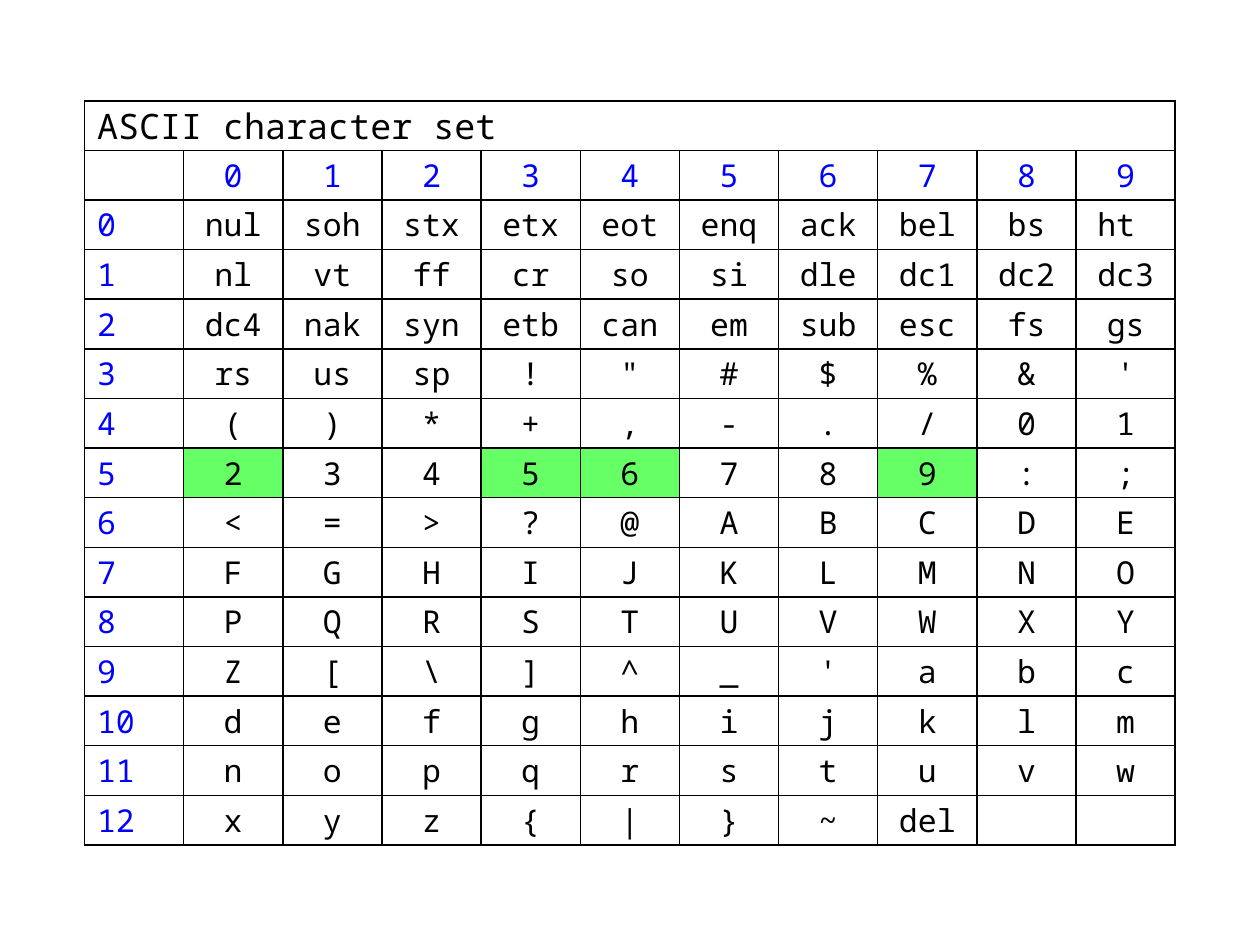
"""Build a one-slide ASCII code table with decimal row and column headings."""
import dataclasses

import lxml.etree
import pptx
import pptx.dml.color
import pptx.enum.text
import pptx.oxml.ns
import pptx.util

TITLE = "ASCII character set"
CONTROLS = (
    "nul,soh,stx,etx,eot,enq,ack,bel,bs,ht ,"
    "nl,vt,ff,cr,so,si,dle,dc1,dc2,dc3 ,"
    "dc4,nak,syn,etb,can,em,sub,esc,fs,gs,"
    "rs,us,sp"
).split(",")
PRINTABLE = list(
    "!\"#$%&'()*+,-./0123456789:;<=>?@ABCDEFGHIJKLMNOPQRSTUVWXYZ"
    "[\\]^_'abcdefghijklmnopqrstuvwxyz{|}~"
)
SYMBOLS = CONTROLS + PRINTABLE + ["del"]
HIGHLIGHTED_CODES = {50, 53, 54, 57}
BASE = 10

SLIDE_WIDTH, SLIDE_HEIGHT = 10, 7.5
TABLE_LEFT, TABLE_TOP = 0.67, 0.8
TABLE_WIDTH, TABLE_HEIGHT = 8.66, 5.91
SIDE_MARGIN = 0.1


@dataclasses.dataclass(frozen=True)
class Theme:
    font: str = "Noto Sans Mono"
    title_size: int = 20
    body_size: int = 18
    ink: str = "000000"
    heading: str = "0000FF"
    highlight: str = "66FF66"
    border_width: int = 1


THEME = Theme()


def write(cell, text, *, size=THEME.body_size, color=THEME.ink, centered=True):
    para = cell.text_frame.paragraphs[0]
    if centered:
        para.alignment = pptx.enum.text.PP_ALIGN.CENTER
    span = para.add_run()
    span.text = text
    span.font.name = THEME.font
    span.font.size = pptx.util.Pt(size)
    span.font.color.rgb = pptx.dml.color.RGBColor.from_string(color)


def style_cell(cell):
    cell.vertical_anchor = pptx.enum.text.MSO_ANCHOR.MIDDLE
    cell.margin_left = cell.margin_right = pptx.util.Inches(SIDE_MARGIN)
    cell.margin_top = cell.margin_bottom = 0
    qualify = pptx.oxml.ns.qn
    properties = cell._tc.get_or_add_tcPr()
    for side in ("a:lnL", "a:lnR", "a:lnT", "a:lnB"):
        line = lxml.etree.SubElement(
            properties, qualify(side), w=str(pptx.util.Pt(THEME.border_width))
        )
        fill = lxml.etree.SubElement(line, qualify("a:solidFill"))
        lxml.etree.SubElement(fill, qualify("a:srgbClr"), val=THEME.ink)
    cell.fill.background()


def add_grid(page):
    code_rows = -(-len(SYMBOLS) // BASE)
    row_count, column_count = code_rows + 2, BASE + 1
    frame = page.shapes.add_table(
        row_count,
        column_count,
        *map(pptx.util.Inches, (TABLE_LEFT, TABLE_TOP, TABLE_WIDTH, TABLE_HEIGHT)),
    )
    table = frame.table
    table.first_row = table.horz_banding = False
    for column in table.columns:
        column.width = pptx.util.Inches(TABLE_WIDTH / column_count)
    for row in table.rows:
        row.height = pptx.util.Inches(TABLE_HEIGHT / row_count)
    for cell in table.iter_cells():
        style_cell(cell)

    table.cell(0, 0).merge(table.cell(0, BASE))
    write(table.cell(0, 0), TITLE, size=THEME.title_size, centered=False)
    for digit in range(BASE):
        write(table.cell(1, digit + 1), str(digit), color=THEME.heading)
    for tens in range(code_rows):
        write(table.cell(tens + 2, 0), str(tens), color=THEME.heading, centered=False)
    for code, symbol in enumerate(SYMBOLS):
        tens, digit = divmod(code, BASE)
        cell = table.cell(tens + 2, digit + 1)
        write(cell, symbol)
        if code in HIGHLIGHTED_CODES:
            cell.fill.solid()
            cell.fill.fore_color.rgb = pptx.dml.color.RGBColor.from_string(THEME.highlight)


def main():
    deck = pptx.Presentation()
    deck.slide_width = pptx.util.Inches(SLIDE_WIDTH)
    deck.slide_height = pptx.util.Inches(SLIDE_HEIGHT)
    page = deck.slides.add_slide(deck.slide_layouts[6])
    add_grid(page)
    deck.save("out.pptx")


if __name__ == "__main__":
    main()
